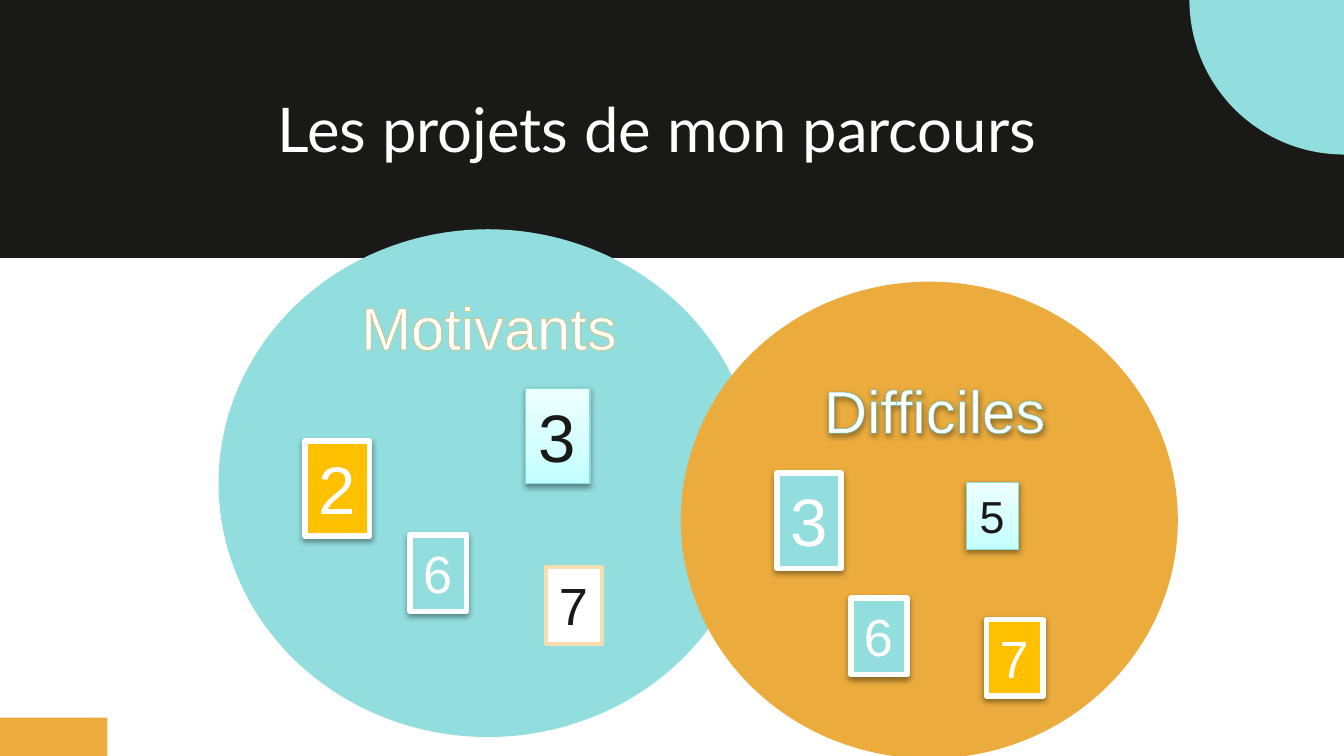
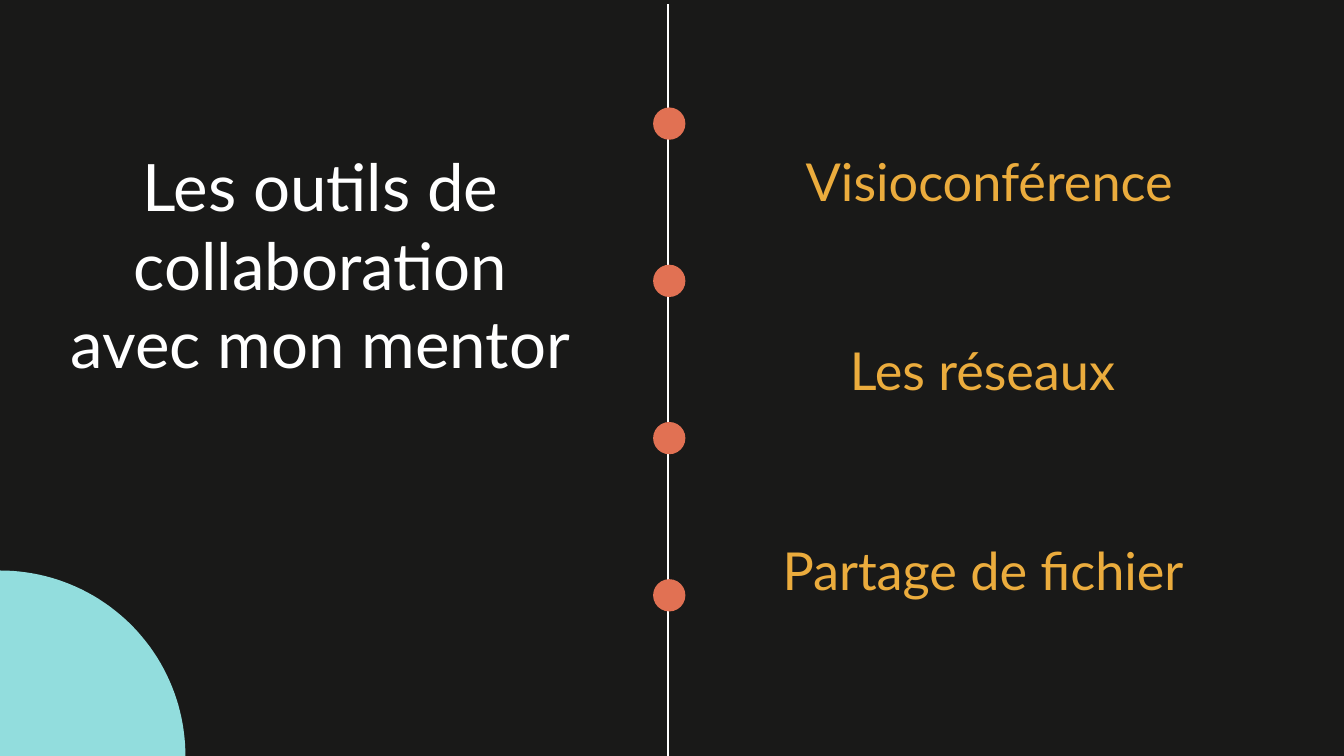
from dataclasses import dataclass
from math import cos, radians, sin

from lxml.etree import SubElement
from pptx import Presentation
from pptx.dml.color import RGBColor
from pptx.enum.shapes import MSO_CONNECTOR as CONN, MSO_SHAPE as SHAPE
from pptx.enum.text import MSO_ANCHOR as ANCHOR, MSO_AUTO_SIZE as AUTO, PP_ALIGN as ALIGN
from pptx.oxml.ns import qn
from pptx.util import Inches, Pt

# Shared palette, fonts and slide size (16:9)
DARK, WHITE, AQUA, AMBER = "191918", "FFFFFF", "92DDDD", "EBAC3D"
CORAL, GOLD, SAND, TEAL, PALE_LINE = "E17153", "FFC000", "F7DEB1", "4CC7C7", "8DDADA"
ICE = ((0, "C2FFFF"), (35, "D3FFFF"), (100, "EEFFFF"))
HEAD_FONT, BODY_FONT = "Lato", "Arial"
WIDTH = 10
HEIGHT = WIDTH * 9 / 16


@dataclass(frozen=True)
class TileStyle:
    fill: str | None  # None means the ice gradient
    line: str
    weight: float
    text: str
    shadow: bool = True


@dataclass(frozen=True)
class TileSize:
    width: float
    height: float
    points: int


@dataclass(frozen=True)
class Tile:
    number: str
    left: float
    top: float
    size: TileSize
    style: TileStyle


@dataclass(frozen=True)
class Tool:
    name: str
    top: float
    height: float = 0.57


AQUA_TILE = TileStyle(AQUA, WHITE, 3, WHITE)
GOLD_TILE = TileStyle(GOLD, WHITE, 3, WHITE)
ICE_TILE = TileStyle(None, PALE_LINE, 0.75, DARK)
PLAIN_TILE = TileStyle(WHITE, SAND, 2, DARK, shadow=False)
LARGE = TileSize(0.48, 0.71, 36)
MEDIUM = TileSize(0.42, 0.57, 28)
SMALL = TileSize(0.39, 0.5, 24)

TILES = (
    Tile("3", 5.78, 3.52, LARGE, AQUA_TILE),
    Tile("2", 2.27, 3.28, LARGE, GOLD_TILE),
    Tile("6", 6.33, 4.45, MEDIUM, AQUA_TILE),
    Tile("3", 3.91, 2.89, LARGE, ICE_TILE),
    Tile("6", 3.05, 3.98, MEDIUM, AQUA_TILE),
    Tile("7", 4.06, 4.22, MEDIUM, PLAIN_TILE),
    Tile("7", 7.34, 4.61, MEDIUM, GOLD_TILE),
    Tile("5", 7.19, 3.59, SMALL, ICE_TILE),
)
TOOLS = (
    Tool("Visioconférence", 1.02),
    Tool("Les réseaux ", 2.42),
    Tool("Partage de fichier ", 3.91, 1.13),
)


def rgb(value: str) -> RGBColor:
    return RGBColor.from_string(value)


def box(left: float, top: float, width: float, height: float) -> tuple:
    return Inches(left), Inches(top), Inches(width), Inches(height)


def paint(sp, fill: str, line: str | None = None, weight: float = 0) -> None:
    sp.shadow.inherit = False
    sp.fill.solid()
    sp.fill.fore_color.rgb = rgb(fill)
    if line:
        sp.line.color.rgb = rgb(line)
        sp.line.width = Pt(weight)
    else:
        sp.line.fill.background()


def add_shape(s, kind, at: tuple, fill: str, line: str | None = None, weight: float = 0):
    sp = s.shapes.add_shape(kind, *box(*at))
    paint(sp, fill, line, weight)
    return sp


def add_quarter(s, cx: float, cy: float, radius: float, start: int) -> None:
    """Quarter disc around a slide corner, swept clockwise from start degrees."""
    arc = [(Inches(cx + radius * cos(radians(a))), Inches(cy + radius * sin(radians(a))))
           for a in range(start, start + 91, 2)]
    builder = s.shapes.build_freeform(Inches(cx), Inches(cy), scale=1.0)
    builder.add_line_segments(arc, close=True)
    paint(builder.convert_to_shape(), AQUA)


def drop_shadow(sp) -> None:
    sp.shadow.inherit = False
    effects = sp.element.spPr.find(qn("a:effectLst"))
    shadow = SubElement(effects, qn("a:outerShdw"), blurRad=str(Pt(3.1)), dist=str(Pt(1.6)),
                        dir="5400000", rotWithShape="0")
    color = SubElement(shadow, qn("a:srgbClr"), val="000000")
    SubElement(color, qn("a:alpha"), val="38000")


def ice_gradient(sp) -> None:
    sp.fill.gradient()
    sp.fill.gradient_angle = 90
    stops = sp.element.spPr.find(qn("a:gradFill")).find(qn("a:gsLst"))
    for stop in list(stops):
        stops.remove(stop)
    for percent, value in ICE:
        stop = SubElement(stops, qn("a:gs"), pos=str(percent * 1000))
        SubElement(stop, qn("a:srgbClr"), val=value)


def write(sp, text: str, font: str, size: float, color: str, align=ALIGN.CENTER):
    p = sp.text_frame.paragraphs[0]
    p.text, p.alignment = text, align
    p.font.name, p.font.size, p.font.color.rgb = font, Pt(size), rgb(color)
    return p


def set_frame(sp, wrap: bool = True, inset: bool = False, anchor=ANCHOR.TOP) -> None:
    tf = sp.text_frame
    tf.word_wrap, tf.vertical_anchor, tf.auto_size = wrap, anchor, AUTO.NONE
    if not inset:
        tf.margin_left = tf.margin_right = tf.margin_top = tf.margin_bottom = 0


def add_title(s, text: str, at: tuple, size: float) -> None:
    sp = s.shapes.title
    sp.left, sp.top, sp.width, sp.height = box(*at)
    set_frame(sp)
    write(sp, text, HEAD_FONT, size, WHITE)
    sp.element.getparent().append(sp.element)  # above the band


def add_outlined_label(s, text: str, at: tuple, outline: str, weight: float):
    sp = s.shapes.add_textbox(*box(*at))
    set_frame(sp, inset=True)
    r = write(sp, text, BODY_FONT, 32, WHITE).runs[0]
    r.font.color.rgb = rgb(WHITE)
    props = next(sp.element.iter(qn("a:rPr")))
    line = SubElement(props, qn("a:ln"), w=str(Pt(weight)))
    SubElement(SubElement(line, qn("a:solidFill")), qn("a:srgbClr"), val=outline)
    props.insert(0, line)  # the outline precedes the fill
    return sp


def add_tile(s, tile: Tile) -> None:
    size, style = tile.size, tile.style
    at = (tile.left, tile.top, size.width, size.height)
    sp = add_shape(s, SHAPE.RECTANGLE, at, style.fill or WHITE, style.line, style.weight)
    if style.fill is None:
        ice_gradient(sp)
    if style.shadow:
        drop_shadow(sp)
    set_frame(sp, wrap=False, inset=True)
    write(sp, tile.number, BODY_FONT, size.points, style.text, ALIGN.LEFT)


def build_projects(prs) -> None:
    s = prs.slides.add_slide(prs.slide_layouts[5])
    # Header band, title and corner accents
    add_shape(s, SHAPE.RECTANGLE, (0, 0, WIDTH, 1.92), DARK)
    add_title(s, "Les projets de mon parcours", (0.56, 0.68, 8.66, 0.56), 33)
    add_shape(s, SHAPE.RECTANGLE, (0, 5.34, 0.8, HEIGHT - 5.34), AMBER)
    add_quarter(s, WIDTH, 0, 1.15, 90)
    # Overlapping circles with numbered projects
    add_shape(s, SHAPE.OVAL, (1.64, 1.72, 3.98, 3.75), AQUA, AQUA, 2)
    add_shape(s, SHAPE.OVAL, (5.08, 2.11, 3.67, 3.52), AMBER, AMBER, 2)
    for tile in TILES:
        add_tile(s, tile)
    add_outlined_label(s, "Motivants", (2.58, 2.11, 2.12, 0.88), AMBER, 0.8)
    drop_shadow(add_outlined_label(s, "Difficiles", (5.47, 2.73, 2.97, 0.64), TEAL, 0.75))


def build_tools(prs) -> None:
    s = prs.slides.add_slide(prs.slide_layouts[5])
    s.background.fill.solid()
    s.background.fill.fore_color.rgb = rgb(DARK)
    add_title(s, "Les outils de collaboration avec mon mentor", (0.47, 1.09, 3.83, 2.36), 35)
    # Timeline with evenly spaced dots
    axis = s.shapes.add_connector(CONN.STRAIGHT, Inches(4.97), Inches(HEIGHT),
                                  Inches(4.97), Inches(0.03))
    axis.line.color.rgb, axis.line.width = rgb(WHITE), Pt(0.75)
    SubElement(axis.element.spPr, qn("a:effectLst"))
    for i in range(4):
        add_shape(s, SHAPE.OVAL, (4.86, 0.8 + 1.17 * i, 0.24, 0.24), CORAL)
    # Tool names
    for tool in TOOLS:
        sp = s.shapes.add_textbox(*box(5.55, tool.top, 3.62, tool.height))
        set_frame(sp)
        write(sp, tool.name, HEAD_FONT, 28, AMBER).line_spacing = 1.2
    add_quarter(s, 0, HEIGHT, 1.38, 270)


def main() -> None:
    prs = Presentation()
    prs.slide_width, prs.slide_height = Inches(WIDTH), Inches(HEIGHT)
    build_projects(prs)
    build_tools(prs)
    prs.save("out.pptx")


if __name__ == "__main__":
    main()
